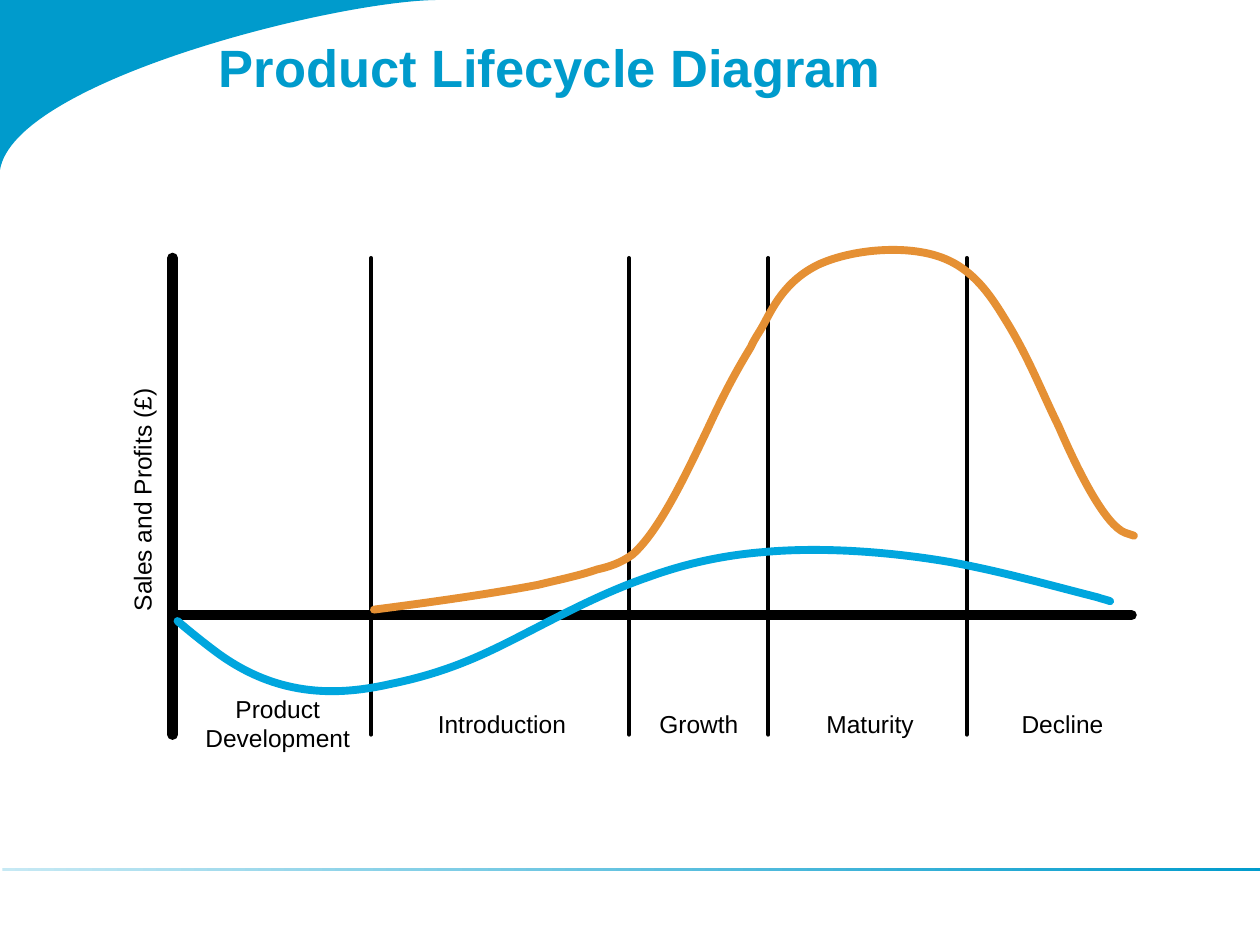
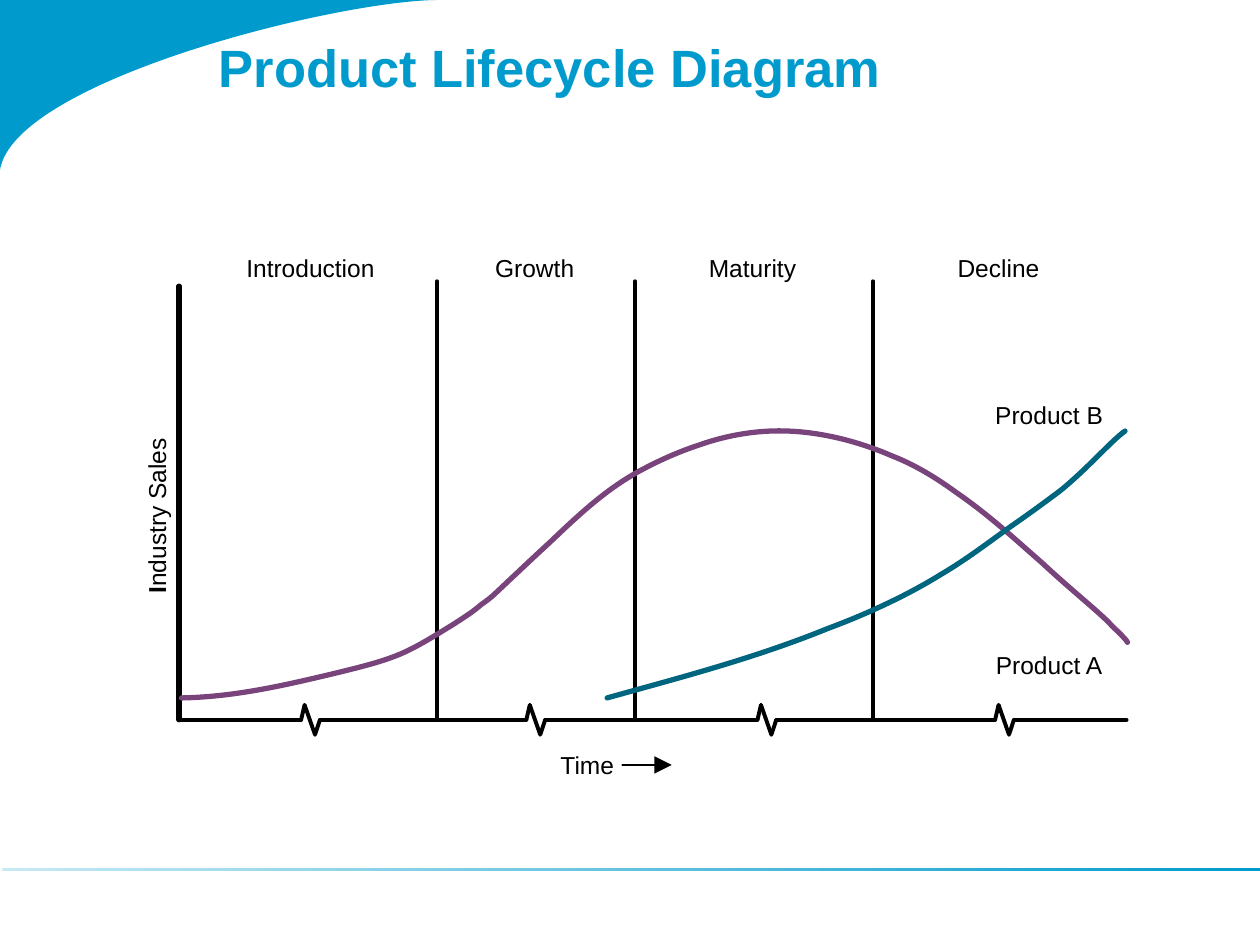
from dataclasses import dataclass

from lxml import etree
from pptx import Presentation
from pptx import util as u
from pptx.dml.color import RGBColor
from pptx.enum import shapes, text
from pptx.oxml import ns


@dataclass(frozen=True)
class Theme:
    font: str = "Arial"
    title_size: int = 30
    label_size: int = 14
    brand: str = "009BCC"
    brand_pale: str = "C6E9F4"
    ink: str = "000000"
    paper: str = "FFFFFF"
    sales: str = "E59034"
    profits: str = "00A6DE"
    product_a: str = "79447B"
    product_b: str = "00667F"
    thick: float = 6
    bold_curve: float = 4.5
    medium: float = 3
    thin: float = 2.25
    arrow: float = 1.5


THEME = Theme()
TITLE = "Product Lifecycle Diagram"

# Label widths in cm
PHASE_WIDTHS = {"Product\nDevelopment": 3.1, "Introduction": 2.75,
                "Growth": 1.75, "Maturity": 1.95, "Decline": 1.85}

# Curves in cm: a start point, then two handles and an end point per segment
CORNER_CURVE = [(0, 3.43), (0.28, 1.63), (6.81, 0), (8.86, 0)]
SALES_CURVE = [
    (7.54, 12.29),
    (8.71, 12.14), (9.96, 11.96), (10.85, 11.79),
    (11.3, 11.68), (11.66, 11.61), (12.04, 11.48),
    (12.27, 11.43), (12.52, 11.35), (12.75, 11.18),
    (13.31, 10.69), (13.87, 9.47), (14.27, 8.64),
    (14.68, 7.75), (14.96, 7.29), (15.14, 6.99),
    (15.21, 6.83), (15.29, 6.73), (15.39, 6.55),
    (15.57, 6.22), (15.82, 5.66), (16.51, 5.33),
    (17.17, 5.03), (18.24, 4.93), (18.95, 5.18),
    (19.61, 5.41), (19.96, 5.94), (20.27, 6.45),
    (20.73, 7.19), (21.01, 7.92), (21.34, 8.59),
    (21.79, 9.63), (22.3, 10.59), (22.68, 10.74),
    (22.74, 10.76), (22.8, 10.78), (22.86, 10.8),
]
PROFITS_CURVE = [
    (22.38, 12.12),
    (22.3, 12.09), (22.2, 12.07), (22.12, 12.04),
    (21.13, 11.79), (20.24, 11.53), (19.15, 11.33),
    (17.98, 11.13), (16.59, 11.02), (15.39, 11.13),
    (14.53, 11.2), (13.77, 11.38), (13.08, 11.63),
    (12.12, 11.96), (11.28, 12.42), (10.57, 12.78),
    (9.7, 13.23), (8.99, 13.56), (7.87, 13.79),
    (6.93, 14), (5.66, 14.12), (4.34, 13.13),
    (4.1, 12.95), (3.8, 12.71), (3.58, 12.52),
]
PRODUCT_A_CURVE = [
    (3.66, 14.07),
    (4.78, 14.05), (5.84, 13.79), (6.81, 13.56),
    (7.29, 13.44), (7.72, 13.34), (8.13, 13.16),
    (8.48, 13), (8.79, 12.8), (9.12, 12.6),
    (9.32, 12.47), (9.53, 12.34), (9.7, 12.19),
    (9.8, 12.12), (9.91, 12.04), (10.01, 11.94),
    (10.34, 11.63), (10.74, 11.25), (11.1, 10.92),
    (11.76, 10.29), (12.22, 9.88), (12.83, 9.53),
    (13.21, 9.32), (13.64, 9.12), (14.1, 8.97),
    (14.55, 8.81), (15.04, 8.71), (15.54, 8.69),
    (16.31, 8.66), (17.17, 8.84), (17.98, 9.19),
    (18.44, 9.37), (18.87, 9.63), (19.28, 9.93),
    (19.91, 10.36), (20.52, 10.92), (21.01, 11.35),
    (21.56, 11.86), (21.95, 12.17), (22.25, 12.45),
    (22.33, 12.52), (22.4, 12.6), (22.45, 12.65),
    (22.61, 12.8), (22.73, 12.93), (22.73, 12.95),
]
PRODUCT_B_CURVE = [
    (12.24, 14.07),
    (13.67, 13.67), (15.19, 13.28), (16.69, 12.67),
    (17.5, 12.37), (18.31, 11.99), (18.97, 11.58),
    (19.48, 11.28), (19.91, 10.95), (20.37, 10.62),
    (20.7, 10.39), (21.06, 10.13), (21.39, 9.88),
    (21.95, 9.42), (22.4, 8.89), (22.68, 8.69),
]


def color(value):
    return RGBColor.from_string(value)


def add_run(paragraph, words, size, ink, bold=False):
    run = paragraph.add_run()
    run.text = words
    run.font.name = THEME.font
    run.font.size = u.Pt(size)
    run.font.bold = bold
    run.font.color.rgb = color(ink)


def style_line(shape, ink, width, arrow=False):
    """Solid line with round ends and an optional arrowhead."""
    shape.line.color.rgb = color(ink)
    shape.line.width = u.Pt(width)
    line = shape.element.spPr.find(ns.qn("a:ln"))
    line.set("cap", "rnd")
    if arrow:
        etree.SubElement(line, ns.qn("a:tailEnd"), type="triangle", w="lg", len="lg")


def add_line(slide, start, end, width, arrow=False):
    connector = slide.shapes.add_connector(
        shapes.MSO_CONNECTOR.STRAIGHT, *(u.Cm(value) for value in start + end))
    style_line(connector, THEME.ink, width, arrow)
    etree.SubElement(connector.element.spPr, ns.qn("a:effectLst"))


def add_dividers(slide, positions, top, bottom):
    for x in positions:
        add_line(slide, (x, top), (x, bottom), THEME.thin)


def add_outline(slide, knots, corners=()):
    """Chain of cubic segments, closed through the corners if there are any."""
    points = [(u.Cm(x), u.Cm(y)) for x, y in [*knots, *corners]]
    builder = slide.shapes.build_freeform(*points[0])
    builder.add_line_segments(points[1:], close=bool(corners))
    shape = builder.convert_to_shape()
    shape.shadow.inherit = False
    # Turn every three straight steps between knots into one cubic segment
    steps = list(shape.element.iter(ns.qn("a:lnTo")))[:len(knots) - 1]
    for first in range(0, len(steps), 3):
        segment = steps[first:first + 3]
        cubic = etree.Element(ns.qn("a:cubicBezTo"))
        segment[0].addprevious(cubic)
        for step in segment:
            cubic.append(step[0])
            step.getparent().remove(step)
    return shape


def add_curve(slide, knots, ink, width):
    curve = add_outline(slide, knots)
    curve.fill.background()
    style_line(curve, ink, width)


def add_rectangle(slide, left, top, width, height):
    rectangle = slide.shapes.add_shape(
        shapes.MSO_SHAPE.RECTANGLE, u.Cm(left), u.Cm(top), u.Cm(width), u.Cm(height))
    rectangle.shadow.inherit = False
    rectangle.line.fill.background()
    return rectangle


def add_label(slide, runs, center, width, rotation=0):
    """Label centred on a point; runs are (words, bold) pairs."""
    lines = 1 + sum(words.count("\n") for words, _ in runs)
    height = 0.6 * lines
    box = slide.shapes.add_textbox(
        u.Cm(center[0] - width / 2), u.Cm(center[1] - height / 2), u.Cm(width), u.Cm(height))
    box.rotation = rotation
    frame = box.text_frame
    frame.word_wrap = False
    frame.margin_left = frame.margin_right = frame.margin_top = frame.margin_bottom = 0
    frame.vertical_anchor = text.MSO_ANCHOR.MIDDLE
    paragraph = frame.paragraphs[0]
    paragraph.alignment = text.PP_ALIGN.CENTER
    for words, bold in runs:
        for number, line in enumerate(words.split("\n")):
            if number:
                paragraph.add_line_break()
            add_run(paragraph, line, THEME.label_size, THEME.ink, bold)


def add_phases(slide, centers, y):
    for phase, x in centers.items():
        add_label(slide, [(phase, False)], (x, y), PHASE_WIDTHS[phase])


def add_axis_break(slide, left, axis_y):
    """Zigzag that interrupts the time axis."""
    gap = add_rectangle(slide, left, axis_y - 0.42, 0.84, 0.84)
    gap.fill.solid()
    gap.fill.fore_color.rgb = color(THEME.paper)
    offsets = [(-0.1, 0), (0.23, 0), (0.3, -0.3), (0.51, 0.3), (0.61, 0), (0.94, 0)]
    points = [(left + dx, axis_y + dy) for dx, dy in offsets]
    for start, end in zip(points, points[1:]):
        add_line(slide, start, end, THEME.thin)


def add_titled_slide(presentation):
    """Slide with the corner, footer rule and title."""
    slide = presentation.slides.add_slide(presentation.slide_layouts[5])
    # Corner
    corner = add_outline(slide, CORNER_CURVE, corners=[(0, 0)])
    corner.fill.solid()
    corner.fill.fore_color.rgb = color(THEME.brand)
    corner.line.fill.background()
    # Footer rule
    rule = add_rectangle(slide, 0.05, 17.5, 25.5, 0.06)
    rule.fill.gradient()
    rule.fill.gradient_angle = 0
    for stop, shade in zip(rule.fill.gradient_stops, (THEME.brand_pale, THEME.brand)):
        stop.color.rgb = color(shade)
    # Title
    title = slide.shapes.title
    title.left, title.top, title.width, title.height = (
        u.Cm(4.2), u.Cm(0), u.Cm(17.8), u.Cm(3.73))
    frame = title.text_frame
    frame.margin_left = frame.margin_right = u.Cm(0.21)
    frame.margin_top, frame.margin_bottom = u.Cm(0.71), u.Cm(0.1)
    frame.word_wrap = True
    frame.auto_size = text.MSO_AUTO_SIZE.NONE
    frame.vertical_anchor = text.MSO_ANCHOR.TOP
    paragraph = frame.paragraphs[0]
    paragraph.alignment = text.PP_ALIGN.LEFT
    add_run(paragraph, TITLE, THEME.title_size, THEME.brand, bold=True)
    return slide


def add_sales_and_profits(presentation):
    slide = add_titled_slide(presentation)
    # Axes and phase borders
    add_line(slide, (3.48, 5.2), (3.48, 14.81), THEME.thick)
    add_line(slide, (22.81, 12.4), (3.48, 12.4), THEME.thick)
    add_dividers(slide, (7.48, 12.68, 15.49, 19.49), 5.2, 14.81)
    # Curves
    add_curve(slide, SALES_CURVE, THEME.sales, THEME.bold_curve)
    add_curve(slide, PROFITS_CURVE, THEME.profits, THEME.bold_curve)
    # Labels
    add_phases(slide, {"Product\nDevelopment": 5.6, "Introduction": 10.12, "Growth": 14.09,
                       "Maturity": 17.54, "Decline": 21.42}, 14.58)
    add_label(slide, [("Sales and Profits (£)", False)], (2.86, 10.08), 4.7, 270)


def add_industry_sales(presentation):
    slide = add_titled_slide(presentation)
    axis_y = 14.51
    # Sales axis and phase borders
    add_line(slide, (3.61, 5.77), (3.61, axis_y), THEME.medium)
    add_dividers(slide, (8.81, 12.8, 17.6), 5.67, axis_y)
    # Curves
    add_curve(slide, PRODUCT_A_CURVE, THEME.product_a, THEME.medium)
    add_curve(slide, PRODUCT_B_CURVE, THEME.product_b, THEME.medium)
    # Labels
    add_phases(slide, {"Introduction": 6.26, "Growth": 10.78,
                       "Maturity": 15.17, "Decline": 20.13}, 5.4)
    add_label(slide, [("I", True), ("ndustry Sales", False)], (3.15, 10.4), 3.3, 270)
    add_label(slide, [("Product A", False)], (21.15, 13.41), 2.4)
    add_label(slide, [("Product B", False)], (21.15, 8.36), 2.4)
    # Time axis
    add_line(slide, (3.61, axis_y), (22.71, axis_y), THEME.thin)
    for left in (5.84, 10.38, 15.04, 19.83):
        add_axis_break(slide, left, axis_y)
    add_label(slide, [("Time", False)], (11.84, 15.42), 1.3)
    add_line(slide, (12.55, 15.42), (13.54, 15.42), THEME.arrow, arrow=True)


def main():
    presentation = Presentation()
    presentation.slide_width, presentation.slide_height = u.Cm(25.4), u.Cm(19.05)
    add_sales_and_profits(presentation)
    add_industry_sales(presentation)
    presentation.save("out.pptx")


if __name__ == "__main__":
    main()
